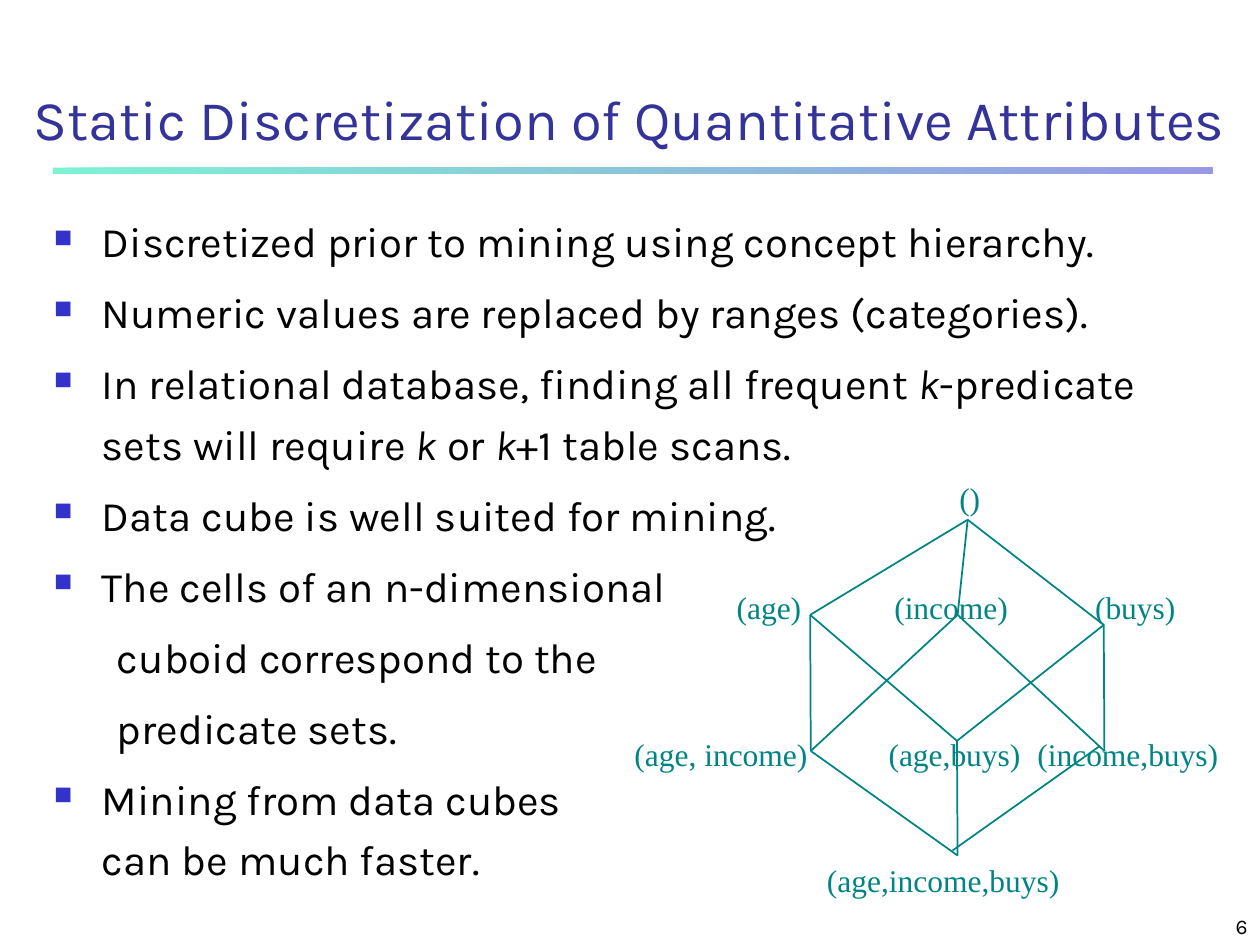
from lxml import etree
from pptx import Presentation
from pptx.dml.color import RGBColor
from pptx.enum.shapes import MSO_CONNECTOR, MSO_SHAPE
from pptx.enum.text import MSO_ANCHOR, PP_ALIGN
from pptx.oxml.ns import qn
from pptx.util import Inches, Pt

LEFT, CENTER, RIGHT = PP_ALIGN.LEFT, PP_ALIGN.CENTER, PP_ALIGN.RIGHT
TOP, BOTTOM = MSO_ANCHOR.TOP, MSO_ANCHOR.BOTTOM
STRAIGHT, RECTANGLE = MSO_CONNECTOR.STRAIGHT, MSO_SHAPE.RECTANGLE

COLORS = {"title": "333399", "text": "000000", "bullet": "3333CC",
          "lattice": "008484", "rule_start": "00E4A8", "rule_end": "3333CC"}
BODY_FONT, LATTICE_FONT = "Karla", "Times New Roman"

presentation = Presentation()
presentation.slide_width, presentation.slide_height = Inches(10), Inches(7.5)
slide = presentation.slides.add_slide(presentation.slide_layouts[6])

# Grid of 100 columns and 75 rows
COLUMN = presentation.slide_width / 100
ROW = presentation.slide_height / 75


def add_text_box(shapes, left, top, width, height, anchor=TOP, inset=True):
    box = shapes.add_textbox(int(left * COLUMN), int(top * ROW),
                             int(width * COLUMN), int(height * ROW))
    frame = box.text_frame
    frame.word_wrap = True
    frame.vertical_anchor = anchor
    if not inset:
        frame.margin_left = frame.margin_right = 0
        frame.margin_top = frame.margin_bottom = 0
    return frame


def style_paragraph(paragraph, size, color, font=BODY_FONT, align=LEFT):
    paragraph.alignment = align
    paragraph.font.size = Pt(size)
    paragraph.font.name = font
    paragraph.font.color.rgb = RGBColor.from_string(COLORS[color])


# Rule under the title, fading from green to violet
rule = slide.shapes.add_shape(RECTANGLE, int(4.2 * COLUMN), int(13.3 * ROW),
                              int(92 * COLUMN), int(0.5 * ROW))
rule.shadow.inherit = False
rule.line.fill.background()
rule.fill.gradient()
rule.fill.gradient_angle = 0
for stop, name in zip(rule.fill.gradient_stops, ("rule_start", "rule_end")):
    stop.color.rgb = RGBColor.from_string(COLORS[name])
for color in rule._element.spPr.iter(qn("a:srgbClr")):
    etree.SubElement(color, qn("a:alpha"), val="50000")

# Title
title = add_text_box(slide.shapes, 0, 0, 100, 12.5, BOTTOM).paragraphs[0]
title.text = "Static Discretization of Quantitative Attributes"
style_paragraph(title, 32, "title", align=CENTER)

# Bulleted text: asterisks enclose italics, the flag marks a bullet
POINTS = [
    (True, "Discretized prior to mining using concept hierarchy."),
    (True, "Numeric values are replaced by ranges (categories)."),
    (True, "In relational database, finding all frequent *k*-predicate sets "
           "will require *k* or *k*+1 table scans."),
    (True, "Data cube is well suited for mining."),
    (True, "The cells of an n-dimensional"),
    (False, "cuboid correspond to the"),
    (False, "predicate sets."),
    (True, "Mining from data cubes\ncan be much faster."),
]
body = add_text_box(slide.shapes, 3.3, 15.85, 92.5, 56.7)
for index, (bulleted, text) in enumerate(POINTS):
    paragraph = body.add_paragraph() if index else body.paragraphs[0]
    margin, indent = (0.38, -0.38) if bulleted else (0.81, -0.31)
    properties = paragraph._p.get_or_add_pPr()
    properties.set("marL", str(Inches(margin)))
    properties.set("indent", str(Inches(indent)))
    paragraph.line_spacing = 1.2
    if index:
        paragraph.space_before = Pt(6)
    if bulleted:
        bullet_color = etree.SubElement(properties, qn("a:buClr"))
        etree.SubElement(bullet_color, qn("a:srgbClr"), val=COLORS["bullet"])
        etree.SubElement(properties, qn("a:buSzPct"), val="60000")
        etree.SubElement(properties, qn("a:buChar"), char="■")
    else:
        paragraph.level = 1
        etree.SubElement(properties, qn("a:buNone"))
    style_paragraph(paragraph, 24, "text")
    for line_number, line in enumerate(text.split("\n")):
        if line_number:
            paragraph.add_line_break()
        for position, fragment in enumerate(line.split("*")):
            run = paragraph.add_run()
            run.text = fragment
            if position % 2:
                run.font.italic = True

# Lattice of cuboids: corners, then edges
lattice = slide.shapes.add_group_shape().shapes
CORNERS = {
    "apex": (76.8, 41.25),
    "age": (64.3, 48.8), "income": (76, 48.8), "buys": (87.6, 49.6),
    "age income": (64.35, 59.6), "age buys": (75.95, 58.8), "income buys": (87.65, 59.6),
    "base": (76, 67.9),
    "income buys inner": (87.3, 59.2), "base inner": (75.6, 67.5),
}
EDGES = [
    ("apex", "age"), ("apex", "income"), ("apex", "buys"),
    ("age", "age income"), ("age", "age buys"),
    ("income", "age income"), ("income", "income buys"),
    ("buys", "age buys"), ("buys", "income buys"),
    ("age income", "base"), ("age buys", "base"), ("income buys inner", "base inner"),
]
for start, end in EDGES:
    (start_x, start_y), (end_x, end_y) = CORNERS[start], CORNERS[end]
    edge = lattice.add_connector(STRAIGHT, int(start_x * COLUMN), int(start_y * ROW),
                                 int(end_x * COLUMN), int(end_y * ROW))
    edge.line.color.rgb = RGBColor.from_string(COLORS["lattice"])
    edge.line.width = Pt(1)
    etree.SubElement(edge._element.spPr, qn("a:effectLst"))

# Lattice labels: right edge, top, width, text
LABELS = [
    (77.8, 38, 4, "()"),
    (63.6, 46.7, 7, "(age)"), (80, 46.7, 10, "(income)"), (93.3, 46.7, 8, "(buys)"),
    (64.1, 58.3, 16, "(age, income)"), (81, 58.3, 12, "(age,buys)"),
    (96.7, 58.3, 16, "(income,buys)"),
    (84.1, 68.3, 20, "(age,income,buys)"),
]
for right, top, width, text in LABELS:
    label = add_text_box(lattice, right - width, top, width, 3, inset=False).paragraphs[0]
    label.text = text
    style_paragraph(label, 18, "lattice", LATTICE_FONT, RIGHT)

# Slide number
number = add_text_box(slide.shapes, 79.2, 70.8, 20.8, 4.2, BOTTOM).paragraphs[0]
number.text = "6"
style_paragraph(number, 12, "text", align=RIGHT)

presentation.save("out.pptx")
